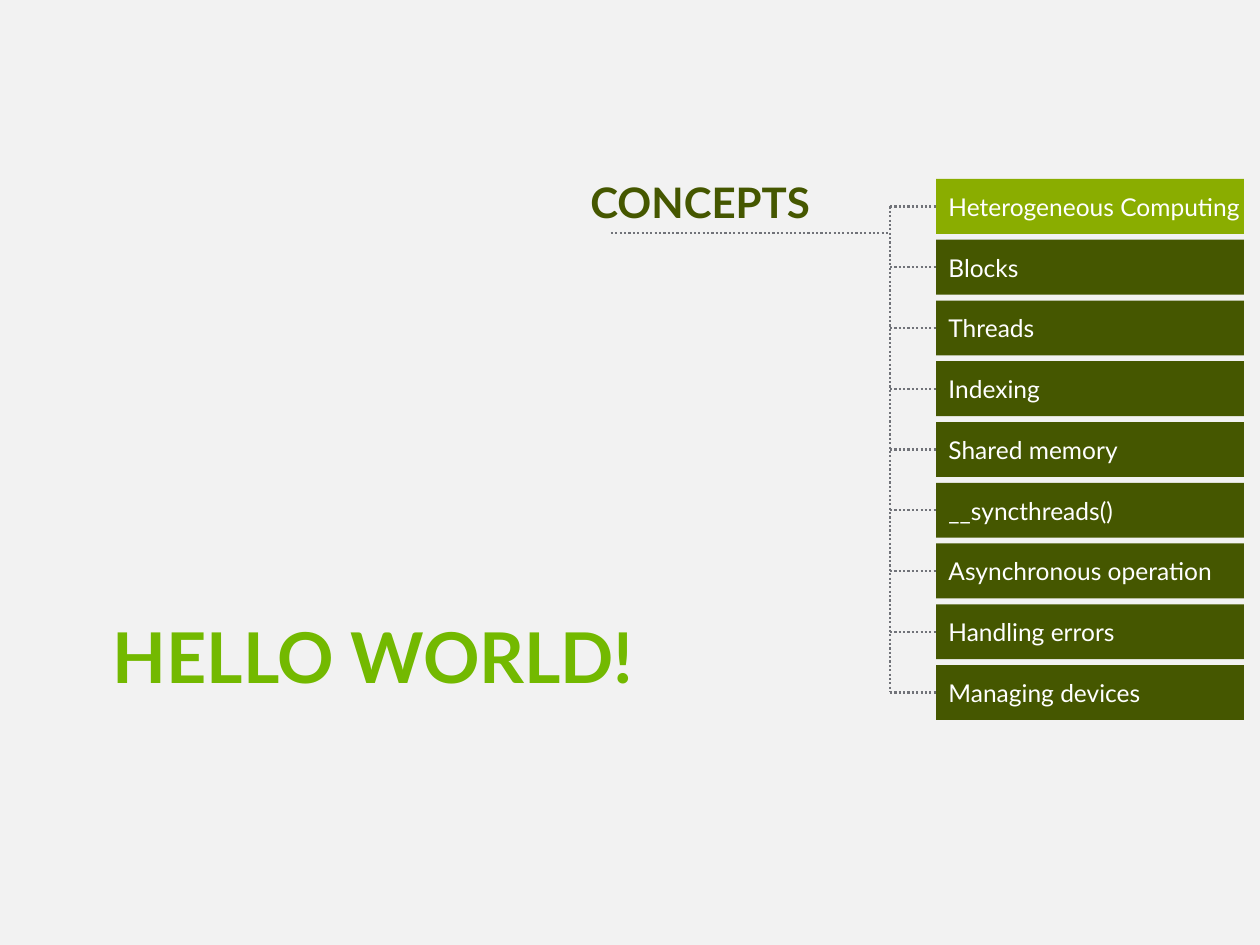
from lxml.etree import SubElement
from pptx import Presentation
from pptx.dml.color import RGBColor
from pptx.enum.dml import MSO_LINE
from pptx.enum.shapes import MSO_CONNECTOR, MSO_SHAPE
from pptx.enum.text import MSO_ANCHOR, MSO_AUTO_SIZE, PP_ALIGN
from pptx.oxml.ns import qn
from pptx.util import Emu, Pt

PX_PER_INCH = 126
FONT = "Lato"
BACKGROUND, LINE_GREY, WHITE = "F2F2F2", "717379", "FFFFFF"
TITLE_GREEN, ACTIVE_GREEN, DARK_GREEN = "73B900", "8AAD00", "455700"

CONCEPTS = [
    "Heterogeneous Computing", "Blocks", "Threads", "Indexing", "Shared memory",
    "__syncthreads()", "Asynchronous operation", "Handling errors", "Managing devices",
]


def px(length):
    return Emu(round(length * 914400 / PX_PER_INCH))


def color(hex_string):
    return RGBColor.from_string(hex_string)


def write_text(shape, text, size, hex_color, bold=False, wrap=False, anchor=MSO_ANCHOR.TOP):
    frame = shape.text_frame
    frame.text = text
    frame.word_wrap = wrap
    frame.auto_size = MSO_AUTO_SIZE.NONE
    frame.vertical_anchor = anchor
    paragraph = frame.paragraphs[0]
    paragraph.alignment = PP_ALIGN.LEFT
    font = paragraph.runs[0].font
    font.name, font.size, font.bold = FONT, Pt(size), bold
    font.color.rgb = color(hex_color)


def add_dotted_line(slide, x1, y1, x2, y2):
    connector = slide.shapes.add_connector(
        MSO_CONNECTOR.STRAIGHT, px(x1), px(y1), px(x2), px(y2))
    connector.line.color.rgb = color(LINE_GREY)
    connector.line.width = Pt(1.25)
    connector.line.dash_style = MSO_LINE.ROUND_DOT
    SubElement(connector.element.spPr, qn("a:effectLst"))


def place_title(slide, left, top, width, height):
    title = slide.shapes.title
    title.left, title.top, title.width, title.height = map(px, (left, top, width, height))
    write_text(title, "HELLO WORLD!", 40, TITLE_GREEN, bold=True, wrap=True)


def add_heading(slide, left, top, width, height):
    heading = slide.shapes.add_textbox(*map(px, (left, top, width, height)))
    write_text(heading, "CONCEPTS", 24, DARK_GREEN, bold=True)


def add_concept_tree(slide, left, top, width, height):
    """Draw the heading's underline, the trunk and one branch with a bar per concept."""
    trunk_x, bar_x, bar_height = left + 279, left + 325, 55
    pitch = (height - bar_height) / (len(CONCEPTS) - 1)
    centers = [top + bar_height / 2 + index * pitch for index in range(len(CONCEPTS))]

    add_dotted_line(slide, left, top + 54, trunk_x, top + 54)
    add_dotted_line(slide, trunk_x, centers[0], trunk_x, centers[-1])
    for index, (concept, center) in enumerate(zip(CONCEPTS, centers)):
        add_dotted_line(slide, trunk_x, center, bar_x, center)
        bar = slide.shapes.add_shape(
            MSO_SHAPE.RECTANGLE, px(bar_x), px(center - bar_height / 2),
            px(left + width - bar_x), px(bar_height))
        bar.shadow.inherit = False
        bar.fill.solid()
        bar.fill.fore_color.rgb = color(ACTIVE_GREEN if index == 0 else DARK_GREEN)
        bar.line.fill.background()
        write_text(bar, concept, 14, WHITE, anchor=MSO_ANCHOR.MIDDLE)


def main():
    presentation = Presentation()
    presentation.slide_width, presentation.slide_height = px(1260), px(945)
    title_only = presentation.slide_layouts[5]
    slide = presentation.slides.add_slide(title_only)
    slide.background.fill.solid()
    slide.background.fill.fore_color.rgb = color(BACKGROUND)

    place_title(slide, 100, 607, 747, 97)
    add_concept_tree(slide, 611, 179, 633, 541)
    add_heading(slide, 578, 170, 276, 63)
    presentation.save("out.pptx")


if __name__ == "__main__":
    main()
